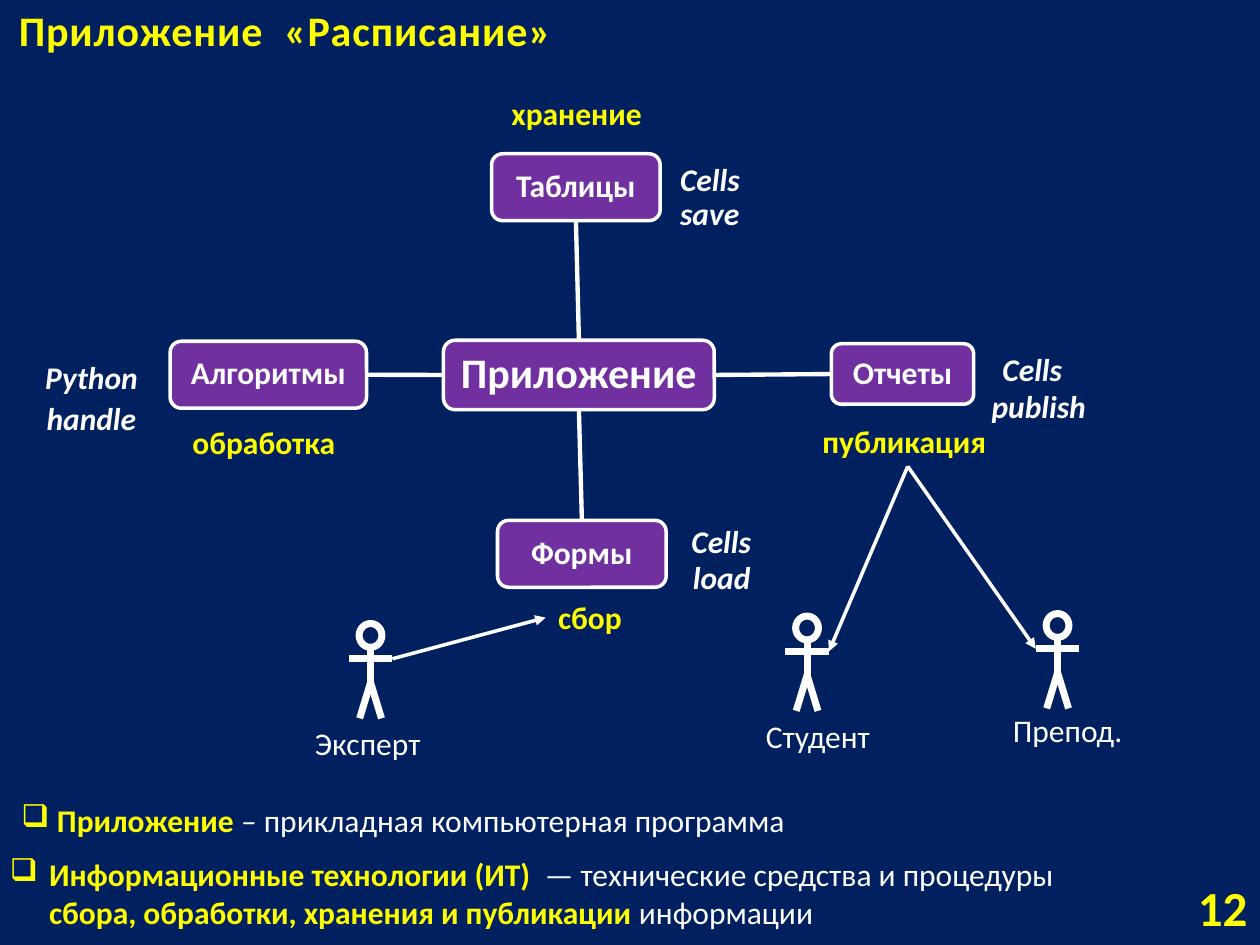
from typing import NamedTuple

from pptx import Presentation
from pptx.dml.color import RGBColor
from pptx.enum.shapes import MSO_CONNECTOR, MSO_SHAPE
from pptx.enum.text import MSO_ANCHOR, MSO_AUTO_SIZE, PP_ALIGN
from pptx.oxml.ns import qn
from pptx.util import Cm, Pt
from lxml.etree import SubElement

NAVY, PURPLE, YELLOW, WHITE = "002060", "7030A0", "FFFF00", "FFFFFF"
TOP, LEFT, BOTTOM, RIGHT = range(4)
LABEL_HEIGHT = 1.02


class Node(NamedTuple):
    text: str
    left: float
    top: float
    width: float
    height: float
    size: int = 18


class Label(NamedTuple):
    text: str
    left: float
    top: float
    width: float


class Actor(NamedTuple):
    center: float
    top: float
    label: Label


NODES = [
    Node("Приложение", 8.94, 6.86, 5.46, 1.4, 24),
    Node("Таблицы", 9.91, 3.1, 3.4, 1.35),
    Node("Алгоритмы", 3.43, 6.88, 3.96, 1.35),
    Node("Формы", 10.03, 10.49, 3.4, 1.35),
    Node("Отчеты", 16.76, 6.93, 2.87, 1.22),
]
STAGES = [
    Label("хранение", 10.06, 1.78, 3.4),
    Label("обработка", 3.63, 8.41, 3.78),
    Label("сбор", 11, 11.94, 2.03),
    Label("публикация", 16.33, 8.38, 3.94),
]
TOOLS = [
    Label("Cells", 13.46, 3.1, 1.88),
    Label("save", 13.46, 3.78, 2.24),
    Label("Python", 0.66, 7.09, 2.49),
    Label("handle", 0.69, 7.92, 2.92),
    Label("Cells", 13.69, 10.39, 1.88),
    Label("load", 13.72, 11.13, 2.03),
    Label("Cells", 19.96, 6.93, 1.88),
    Label("publish", 19.74, 7.67, 2.72),
]
EXPERT = Actor(7.47, 12.57, Label("Эксперт", 6.1, 14.48, 3.07))
STUDENT = Actor(16.27, 12.42, Label("Студент", 15.19, 14.33, 3.07))
TEACHER = Actor(21.32, 12.37, Label("Препод.", 20.17, 14.2, 2.79))
ARM_LENGTH, ARM_DROP = 0.44, 0.71


def color(value: str) -> RGBColor:
    return RGBColor.from_string(value)


def add_span(para, text: str, *, size=18, fill=WHITE, bold=False, italic=False):
    span = para.add_run()
    span.text = text
    font = span.font
    font.name, font.size, font.bold, font.italic = "Calibri", Pt(size), bold, italic
    font.color.rgb = color(fill)
    return span


def add_box(shapes, left: float, top: float, width: float, height: float,
            anchor=MSO_ANCHOR.TOP):
    box = shapes.add_textbox(Cm(left), Cm(top), Cm(width), Cm(height))
    box.text_frame.word_wrap = True
    box.text_frame.vertical_anchor = anchor
    return box


def add_label(shapes, label: Label, **text_format):
    box = add_box(shapes, label.left, label.top, label.width, LABEL_HEIGHT)
    box.text_frame.auto_size = MSO_AUTO_SIZE.SHAPE_TO_FIT_TEXT
    add_span(box.text_frame.paragraphs[0], label.text, **text_format)
    return box


def outline(shape, width: float) -> None:
    shape.line.color.rgb = color(WHITE)
    shape.line.width = Pt(width)


def add_line(shapes, start=(0, 0), end=(0, 0), *, width: float, arrow=False):
    line = shapes.add_connector(MSO_CONNECTOR.STRAIGHT, *map(Cm, (*start, *end)))
    outline(line, width)
    if arrow:
        SubElement(line.line._get_or_add_ln(), qn("a:tailEnd"), type="triangle")
    SubElement(line._element.spPr, qn("a:effectLst"))
    return line


def add_node(shapes, node: Node):
    shape = shapes.add_shape(MSO_SHAPE.ROUNDED_RECTANGLE, Cm(node.left), Cm(node.top),
                             Cm(node.width), Cm(node.height))
    shape.shadow.inherit = False
    shape.fill.solid()
    shape.fill.fore_color.rgb = color(PURPLE)
    outline(shape, 2)
    frame = shape.text_frame
    frame.word_wrap = True
    frame.vertical_anchor = MSO_ANCHOR.MIDDLE
    frame.margin_left = frame.margin_right = Cm(0.08)
    frame.margin_top = frame.margin_bottom = Cm(0.08)
    para = frame.paragraphs[0]
    para.alignment = PP_ALIGN.CENTER
    para.line_spacing = 0.9
    add_span(para, node.text, size=node.size, bold=True)
    return shape


def add_actor(shapes, actor: Actor) -> None:
    """Draw a stick figure and its caption as one group."""
    parts = shapes.add_group_shape().shapes
    center, top = actor.center, actor.top
    head = parts.add_shape(MSO_SHAPE.OVAL, Cm(center - 0.23), Cm(top), Cm(0.46), Cm(0.48))
    head.shadow.inherit = False
    head.fill.background()
    outline(head, 4)
    hip = (center, top + 1.19)
    arms = top + ARM_DROP
    limbs = [
        ((center, top + 0.48), hip),
        ((center - ARM_LENGTH, arms), (center + ARM_LENGTH, arms)),
        (hip, (center - 0.22, top + 1.91)),
        (hip, (center + 0.22, top + 1.91)),
    ]
    for start, end in limbs:
        add_line(parts, start, end, width=4)
    add_label(parts, actor.label)


def hand(actor: Actor, side: int) -> tuple[float, float]:
    """Give the end of an actor's arm; side is -1 for left and 1 for right."""
    return actor.center + side * ARM_LENGTH, actor.top + ARM_DROP


def add_definition(shapes, left: float, top: float, width: float, height: float,
                   indent: float, spans: list[tuple[str, bool]]) -> None:
    """Add a bulleted paragraph whose key terms are bold and yellow."""
    para = add_box(shapes, left, top, width, height).text_frame.paragraphs[0]
    properties = para._p.get_or_add_pPr()
    properties.set("marL", str(Cm(indent)))
    properties.set("indent", str(-Cm(indent)))
    SubElement(SubElement(properties, qn("a:buClr")), qn("a:srgbClr"), val=YELLOW)
    SubElement(properties, qn("a:buChar"), char="❑")
    for text, is_term in spans:
        add_span(para, text, bold=is_term, fill=YELLOW if is_term else WHITE)


def main() -> None:
    deck = Presentation()
    deck.slide_width, deck.slide_height = Cm(25.4), Cm(19.05)
    page = deck.slides.add_slide(deck.slide_layouts[6])
    page.background.fill.solid()
    page.background.fill.fore_color.rgb = color(NAVY)
    shapes = page.shapes

    number = add_box(shapes, 22.99, 17.78, 2.41, 1.02, MSO_ANCHOR.MIDDLE)
    number_para = number.text_frame.paragraphs[0]
    number_para.alignment = PP_ALIGN.RIGHT
    add_span(number_para, "12", size=28, fill=YELLOW, bold=True)

    title = add_box(shapes, 0.13, 0, 11.33, 1.24, MSO_ANCHOR.BOTTOM)
    title_span = add_span(title.text_frame.paragraphs[0], "Приложение  «Расписание»",
                          size=24, fill=YELLOW, bold=True)
    title_span.font._element.set("spc", "50")

    application, *neighbours = [add_node(shapes, node) for node in NODES]
    for side, neighbour in zip((TOP, LEFT, BOTTOM, RIGHT), neighbours):
        link = add_line(shapes, width=2.5)
        link.begin_connect(application, side)
        link.end_connect(neighbour, (side + 2) % 4)

    stages = {stage.text: add_label(shapes, stage, fill=YELLOW, bold=True)
              for stage in STAGES}
    for tool in TOOLS:
        add_label(shapes, tool, bold=True, italic=True)

    for actor in (EXPERT, STUDENT, TEACHER):
        add_actor(shapes, actor)
    collecting = add_line(shapes, hand(EXPERT, 1), width=2, arrow=True)
    collecting.end_connect(stages["сбор"], LEFT)
    for reader_hand in (hand(STUDENT, 1), hand(TEACHER, -1)):
        publishing = add_line(shapes, end=reader_hand, width=2, arrow=True)
        publishing.begin_connect(stages["публикация"], BOTTOM)

    add_definition(shapes, 0.18, 16.03, 19.99, LABEL_HEIGHT, 0.72, [
        ("Приложение", True),
        (" – прикладная компьютерная программа", False),
    ])
    add_definition(shapes, -0.05, 17.12, 22.99, 1.8, 0.79, [
        ("Информационные технологии (ИТ)  ", True),
        ("— технические средства и процедуры ", False),
        ("сбора, обработки, хранения и публикации ", True),
        ("информации", False),
    ])
    deck.save("out.pptx")


if __name__ == "__main__":
    main()
